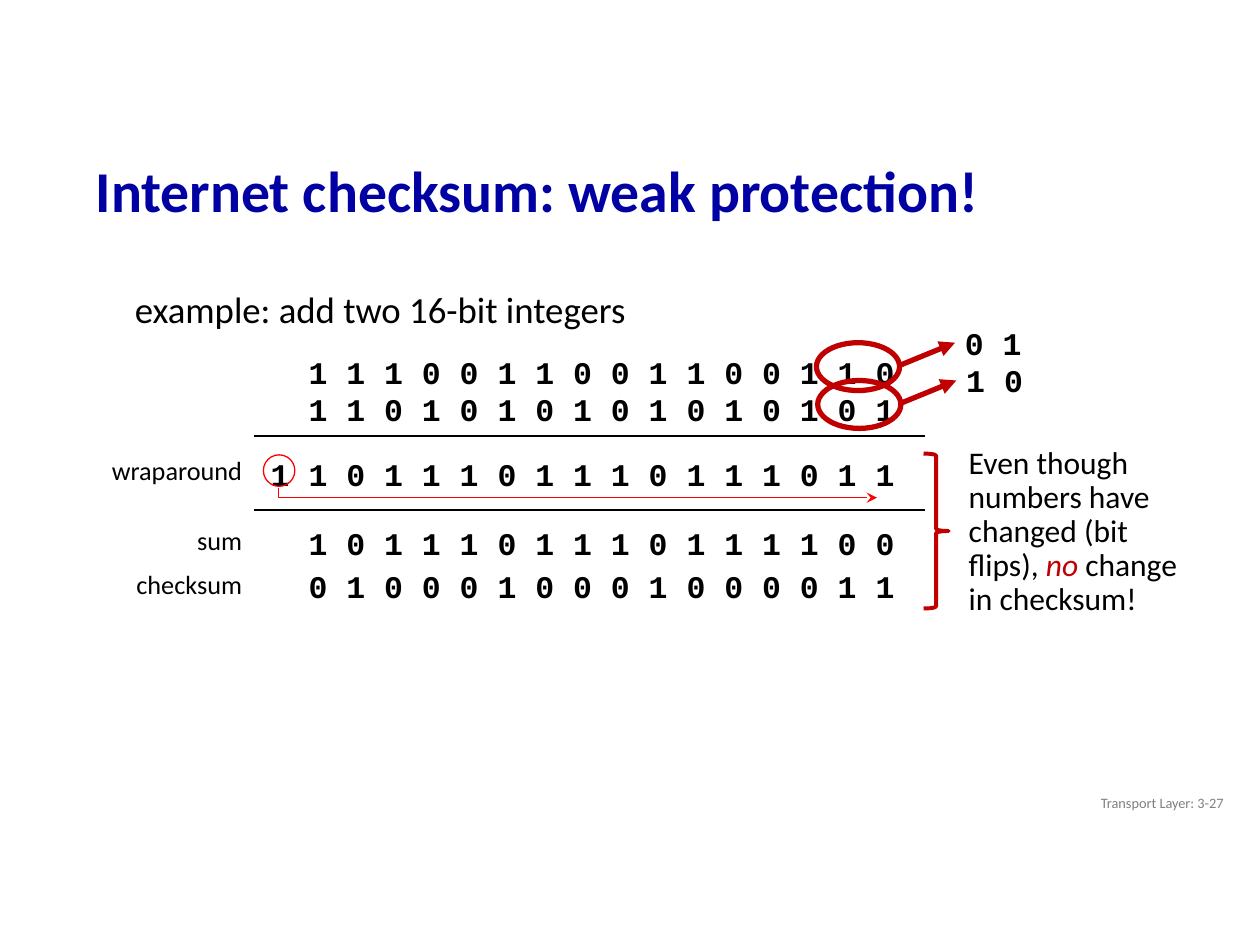
from dataclasses import dataclass

from lxml import etree
from pptx import Presentation
from pptx.dml.color import RGBColor
from pptx.enum.shapes import MSO_CONNECTOR, MSO_SHAPE
from pptx.enum.text import MSO_ANCHOR, PP_ALIGN
from pptx.oxml.ns import qn
from pptx.util import Inches, Pt


@dataclass(frozen=True)
class Theme:
    body: str = "Calibri"
    mono: str = "Courier New"
    title: str = "0000A3"
    ink: str = "000000"
    accent: str = "C00000"
    carry: str = "FF0000"
    muted: str = "808080"
    title_pt: float = 33
    lead_pt: float = 21
    text_pt: float = 18
    label_pt: float = 15
    footer_pt: float = 8.2


THEME = Theme()
TEXT_H = 0.4
LABEL_H = 0.35


def color(value):
    return RGBColor.from_string(value)


def fill_text(sp, runs, size=THEME.text_pt, font=THEME.body, ink=THEME.ink,
              bold=False, align=PP_ALIGN.LEFT, anchor=MSO_ANCHOR.TOP,
              spacing=None, wrap=True):
    """Write one paragraph; runs is a string or (text, colour, italic) tuples."""
    tf = sp.text_frame
    tf.word_wrap = wrap
    tf.vertical_anchor = anchor
    p = tf.paragraphs[0]
    p.alignment = align
    if spacing:
        p.line_spacing = spacing
    if isinstance(runs, str):
        runs = [(runs, ink, False)]
    for text, run_ink, italic in runs:
        r = p.add_run()
        r.text = text
        r.font.name, r.font.size = font, Pt(size)
        r.font.bold, r.font.italic = bold, italic
        r.font.color.rgb = color(run_ink)


def add_text(slide, box, runs, **fmt):
    sp = slide.shapes.add_textbox(*map(Inches, box))
    fill_text(sp, runs, **fmt)
    return sp


def add_bits(slide, x, y, w, bits):
    add_text(slide, (x, y, w, TEXT_H), " ".join(bits),
             font=THEME.mono, bold=True, wrap=False)


def style_line(sp, ink, width, head=None):
    sp.line.color.rgb = color(ink)
    sp.line.width = Pt(width)
    if head:
        etree.SubElement(sp.line._get_or_add_ln(), qn("a:tailEnd"), type=head)


def add_line(slide, start, end, ink=THEME.ink, width=1, head=None):
    line = slide.shapes.add_connector(MSO_CONNECTOR.STRAIGHT,
                                      *map(Inches, (*start, *end)))
    style_line(line, ink, width, head)
    etree.SubElement(line._element.spPr, qn("a:effectLst"))


def add_outline(slide, kind, box, ink, width):
    sp = slide.shapes.add_shape(kind, *map(Inches, box))
    sp.shadow.inherit = False
    sp.fill.background()
    style_line(sp, ink, width)


def set_title(slide, box):
    sp = slide.shapes.title
    sp.left, sp.top, sp.width, sp.height = map(Inches, box)
    fill_text(sp, "Internet checksum: weak protection!", size=THEME.title_pt,
              ink=THEME.title, bold=True, anchor=MSO_ANCHOR.MIDDLE, spacing=0.9)


def add_lead(slide, box):
    sp = add_text(slide, box, "example: add two 16-bit integers",
                  size=THEME.lead_pt, spacing=1.3)
    tf = sp.text_frame
    tf.margin_left = tf.margin_right = Inches(0.07)
    tf.margin_top = tf.margin_bottom = Inches(0.04)


def add_carry(slide, x, y):
    """Circle the carry bit and lead it round to the last column."""
    d = 0.25
    add_outline(slide, MSO_SHAPE.OVAL, (x, y, d, d), THEME.carry, 0.75)
    start_x, start_y = x + 0.12, y + d + 0.01
    corners = [(start_x, start_y + 0.08), (start_x + 4.75, start_y + 0.08)]
    fb = slide.shapes.build_freeform(Inches(start_x), Inches(start_y))
    fb.add_line_segments([(Inches(a), Inches(b)) for a, b in corners],
                         close=False)
    path = fb.convert_to_shape()
    path.shadow.inherit = False
    path.fill.background()
    style_line(path, THEME.carry, 0.75, "stealth")


def add_addition(slide, box):
    """Stack the operands, the carry row, the sum and the checksum."""
    x, y, w, h = box
    label_w = 1.25
    rule_x = x + label_w
    bits_x = rule_x + 0.33
    for dy, bits in ((0, "1110011001100110"), (0.3, "1101010101010101"),
                     (1.36, "1011101110111100"), (1.7, "0100010001000011")):
        add_bits(slide, bits_x, y + dy, 4.88, bits)
    add_bits(slide, bits_x - 0.3, y + 0.81, 5.18, "11011101110111011")
    for dy, label in ((0.81, "wraparound"), (1.36, "sum"), (1.71, "checksum")):
        add_text(slide, (x, y + dy, label_w, LABEL_H), label,
                 size=THEME.label_pt, align=PP_ALIGN.RIGHT, wrap=False)
    for dy in (0.71, 1.3):
        add_line(slide, (rule_x, y + dy), (x + w, y + dy))
    add_carry(slide, rule_x + 0.07, y + 0.86)


def add_flip(slide, box, bits):
    """Ring two bits and point to the values they flip to."""
    x, y, w, h = box
    ring_w, ring_h = 0.66, 0.38
    ring_y = y + h - ring_h
    add_outline(slide, MSO_SHAPE.OVAL, (x, ring_y, ring_w, ring_h),
                THEME.accent, 3)
    add_line(slide, (x + ring_w, ring_y + 0.18), (x + 1.1, ring_y),
             THEME.accent, 3, "triangle")
    add_bits(slide, x + 1.08, y, w - 1.08, bits)


def add_conclusion(slide, box):
    x, y, w, h = box
    add_outline(slide, MSO_SHAPE.RIGHT_BRACE, (x, y + 0.1, 0.2, 1.23),
                THEME.accent, 2.25)
    runs = [("Even though numbers have changed (bit flips), ", THEME.ink, False),
            ("no", THEME.accent, True),
            (" change in checksum!", THEME.ink, False)]
    add_text(slide, (x + 0.26, y, w - 0.26, h), runs, spacing=0.9)


def add_footer(slide, box):
    add_text(slide, box, "Transport Layer: 3-27", size=THEME.footer_pt,
             ink=THEME.muted, align=PP_ALIGN.RIGHT, anchor=MSO_ANCHOR.MIDDLE)


def main():
    prs = Presentation()
    prs.slide_width, prs.slide_height = Inches(10), Inches(7.5)
    slide = prs.slides.add_slide(prs.slide_layouts[5])
    set_title(slide, (0.66, 1.17, 9.1, 0.73))
    add_lead(slide, (1, 2.13, 6.38, 2.25))
    add_addition(slide, (0.77, 2.75, 6.57, 2.1))
    for i, bits in enumerate(("01", "10")):
        add_flip(slide, (6.48 + 0.01 * i, 2.52 + 0.3 * i, 1.89, 0.58), bits)
    add_conclusion(slide, (7.33, 3.5, 2.23, 1.46))
    add_footer(slide, (7.56, 6.22, 2.25, 0.3))
    prs.save("out.pptx")


if __name__ == "__main__":
    main()
